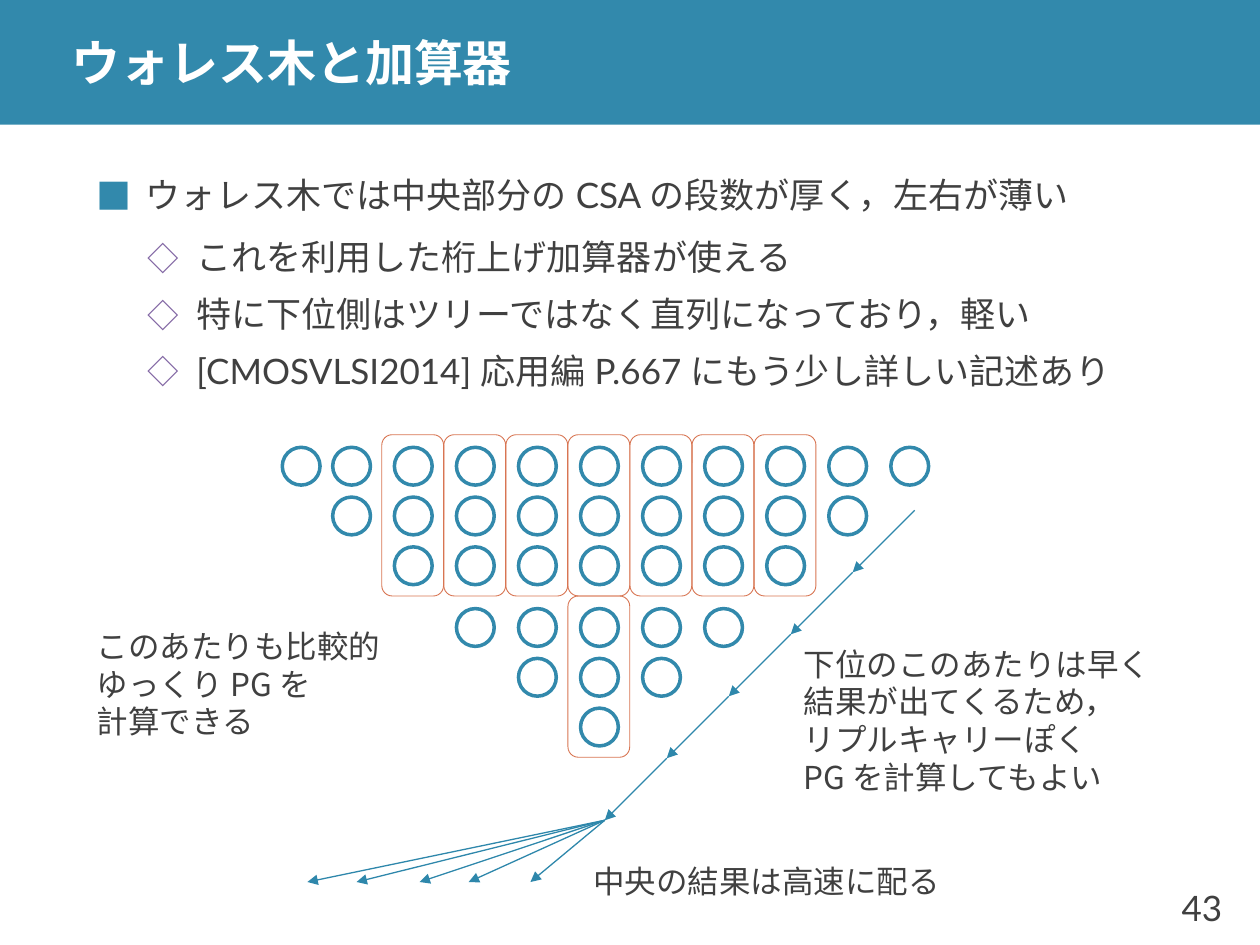
from dataclasses import dataclass

import pptx
import pptx.dml.color
import pptx.enum.shapes
import pptx.enum.text
import pptx.oxml
import pptx.oxml.ns
import pptx.util

Inches = pptx.util.Inches
Pt = pptx.util.Pt
RGBColor = pptx.dml.color.RGBColor
MSO_SHAPE = pptx.enum.shapes.MSO_SHAPE
PP_ALIGN = pptx.enum.text.PP_ALIGN

TEAL = RGBColor(0x32, 0x89, 0xAC)
ARROW_TEAL = RGBColor(0x2E, 0x87, 0xAB)
ORANGE = RGBColor(0xD8, 0x75, 0x52)
PURPLE = RGBColor(0x80, 0x64, 0xA2)
GRAY = RGBColor(0x40, 0x40, 0x40)
WHITE = RGBColor(0xFF, 0xFF, 0xFF)
LATO = "Lato"
NOTO = "Noto Sans CJK JP"

CIRCLE_SIZE = 0.3
FRAME_WIDTH, FRAME_HEIGHT = 0.49, 1.28
FRAME_MARGIN = 0.1
COLUMN_PITCH = (7.07 - 3.13) / 8
ROW_PITCH = 0.79 / 2
ARROW_STEP = (7.26 - 4.8) / 5


@dataclass(frozen=True)
class Style:
    size: float
    font: str = LATO
    color: RGBColor = GRAY
    bold: bool = False


@dataclass(frozen=True)
class Column:
    left: float
    top: float
    count: int


@dataclass(frozen=True)
class Bullet:
    text: str
    level: int = 1


@dataclass(frozen=True)
class Note:
    left: float
    top: float
    lines: tuple[str, ...]


def add_element(parent, tag: str, **attributes: str):
    element = parent.makeelement(pptx.oxml.ns.qn(tag), attributes)
    parent.append(element)
    return element


def add_span(para, text: str, style: Style) -> None:
    span = para.add_run()
    span.text = text
    span.font.size = Pt(style.size)
    span.font.name = style.font
    span.font.bold = style.bold
    span.font.color.rgb = style.color
    add_element(span.font._element, "a:ea", typeface=LATO)


def add_frame(page, left: float, top: float, width: float, height: float, wrap: bool):
    box = page.shapes.add_textbox(Inches(left), Inches(top), Inches(width), Inches(height))
    frame = box.text_frame
    frame.auto_size = pptx.enum.text.MSO_AUTO_SIZE.NONE
    frame.word_wrap = wrap
    frame.vertical_anchor = pptx.enum.text.MSO_ANCHOR.MIDDLE
    return frame


def add_para(frame, index: int):
    return frame.add_paragraph() if index else frame.paragraphs[0]


def add_bullets(page, bullets: list[Bullet]) -> None:
    frame = add_frame(page, 0.67, 1.19, 9.06, 2.07, True)
    for index, bullet in enumerate(bullets):
        para = add_para(frame, index)
        top_level = bullet.level == 0
        para.level = bullet.level
        para.line_spacing = 1.1
        para.space_before = Pt(24 if top_level else 3)
        para.space_after = Pt(6 if top_level else 3)
        add_span(para, bullet.text, Style(20))
        properties = para._p.get_or_add_pPr()
        properties.set("marL", str(Inches(0.39 if top_level else 0.79)))
        properties.set("indent", str(Inches(-0.39)))
        color = add_element(properties, "a:buClr")
        add_element(color, "a:srgbClr", val=str(TEAL if top_level else PURPLE))
        add_element(properties, "a:buSzPct", val="100000" if top_level else "90000")
        add_element(properties, "a:buFont", typeface=NOTO)
        add_element(properties, "a:buChar", char="■" if top_level else "◇")


def add_note(page, note: Note) -> None:
    frame = add_frame(page, note.left, note.top, 0.79, 0.39, False)
    for index, line in enumerate(note.lines):
        para = add_para(frame, index)
        para.line_spacing = Pt(21.5)
        add_span(para, line, Style(18, NOTO))


def add_outline(page, kind, left: float, top: float, width: float, height: float,
                color: RGBColor, weight: float):
    shape = page.shapes.add_shape(kind, Inches(left), Inches(top), Inches(width), Inches(height))
    shape.shadow.inherit = False
    shape.rotation = 180
    shape.line.color.rgb = color
    shape.line.width = Pt(weight)
    return shape


def add_column(page, column: Column) -> None:
    if column.count == 3:
        frame = add_outline(page, MSO_SHAPE.ROUNDED_RECTANGLE, column.left - FRAME_MARGIN,
                            column.top - FRAME_MARGIN, FRAME_WIDTH, FRAME_HEIGHT, ORANGE, 0.5)
        frame.fill.background()
    for row in range(column.count):
        circle = add_outline(page, MSO_SHAPE.OVAL, column.left, column.top + row * ROW_PITCH,
                             CIRCLE_SIZE, CIRCLE_SIZE, TEAL, 2)
        circle.fill.solid()
        circle.fill.fore_color.rgb = WHITE


def add_arrow(page, start: tuple[float, float], end: tuple[float, float]) -> None:
    arrow = page.shapes.add_connector(
        pptx.enum.shapes.MSO_CONNECTOR.STRAIGHT,
        Inches(start[0]), Inches(start[1]), Inches(end[0]), Inches(end[1]))
    arrow.line.color.rgb = ARROW_TEAL
    arrow.line.width = Pt(0.75)
    add_element(arrow.line._get_or_add_ln(), "a:tailEnd", type="triangle")
    add_element(arrow._element.spPr, "a:effectLst")


def main() -> None:
    deck = pptx.Presentation()
    deck.slide_width, deck.slide_height = Inches(10), Inches(7.5)
    page = deck.slides.add_slide(deck.slide_layouts[6])

    band = page.shapes.add_shape(MSO_SHAPE.RECTANGLE, 0, 0, Inches(10), Inches(0.99))
    band.shadow.inherit = False
    band.fill.solid()
    band.fill.fore_color.rgb = TEAL
    band.line.fill.background()

    number = add_frame(page, 9.13, 6.9, 0.67, 0.6, False).paragraphs[0]
    number.alignment = PP_ALIGN.RIGHT
    add_span(number, "43", Style(20))

    title = add_frame(page, 0.47, 0, 9.53, 0.99, True)
    title.margin_top = title.margin_bottom = 0
    add_span(title.paragraphs[0], "ウォレス木と加算器", Style(28, color=WHITE, bold=True))

    add_bullets(page, [
        Bullet("ウォレス木では中央部分の CSA の段数が厚く，左右が薄い", 0),
        Bullet("これを利用した桁上げ加算器が使える"),
        Bullet("特に下位側はツリーではなく直列になっており，軽い"),
        Bullet("[CMOSVLSI2014] 応用編 P.667 にもう少し詳しい記述あり"),
    ])

    columns = [Column(2.24, 3.55, 1), Column(2.64, 3.55, 2)]
    for index, count in enumerate([3] * 7 + [2, 1]):
        columns.append(Column(3.13 + index * COLUMN_PITCH, 3.55, count))
    for index, count in enumerate([1, 2, 3, 2, 1], start=1):
        columns.append(Column(3.13 + index * COLUMN_PITCH, 3.55 + FRAME_HEIGHT, count))
    for column in columns:
        add_column(page, column)

    chain = [(7.26 - step * ARROW_STEP, 4.05 + step * ARROW_STEP) for step in range(6)]
    for start, end in zip(chain, chain[1:]):
        add_arrow(page, start, end)
    for target in (4.21, 3.72, 3.33, 2.83, 2.44):
        add_arrow(page, chain[-1], (target, 7))

    for note in (
        Note(6.28, 5.52, ("下位のこのあたりは早く", "結果が出てくるため，",
                          "リプルキャリーぽく", "PG を計算してもよい")),
        Note(4.61, 6.8, ("中央の結果は高速に配る",)),
        Note(0.67, 5.23, ("このあたりも比較的\vゆっくり PG を".split("\v")[0],
                          "ゆっくり PG を", "計算できる")),
    ):
        add_note(page, note)

    deck.save("out.pptx")


if __name__ == "__main__":
    main()
